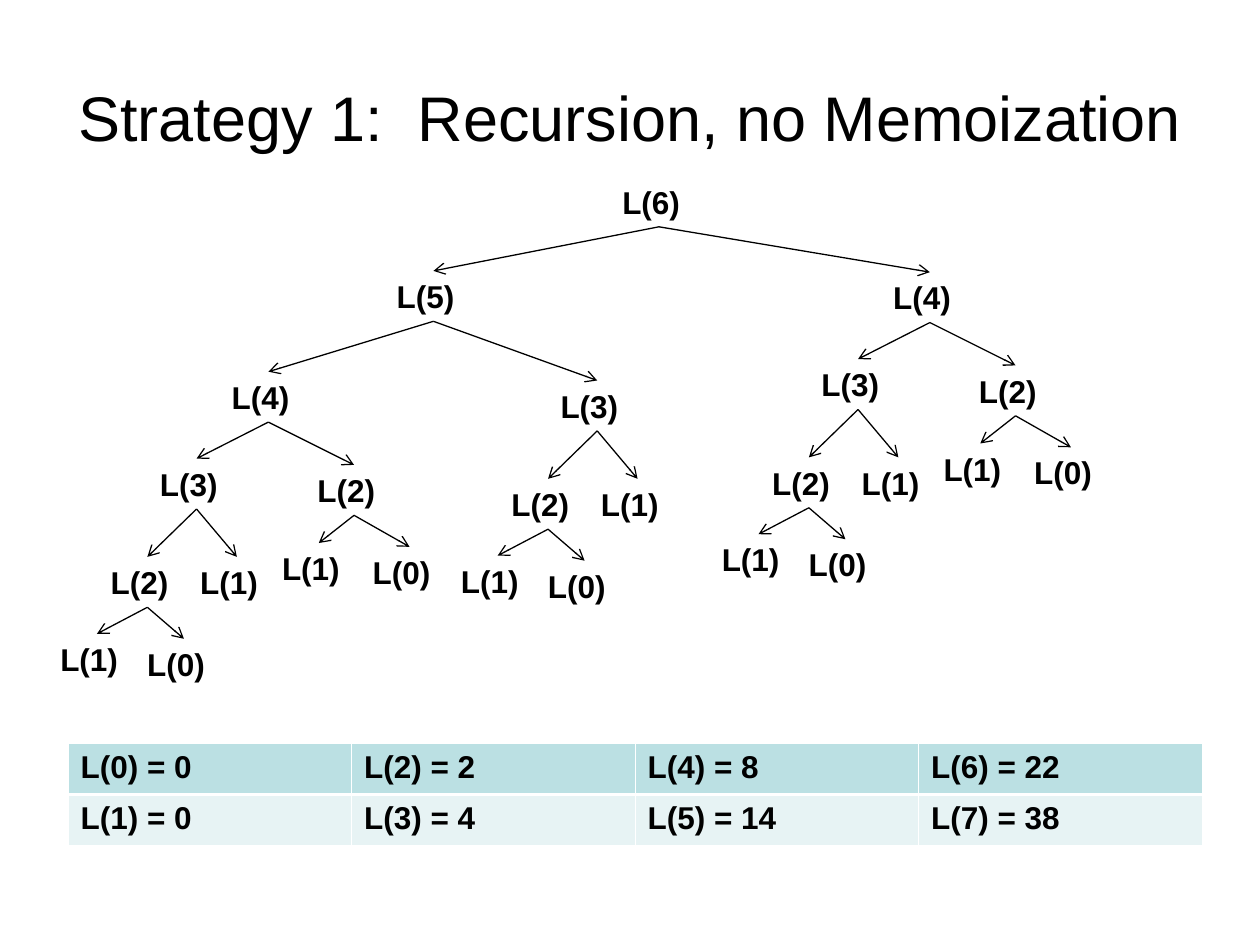
from lxml.etree import SubElement
from pptx import Presentation
from pptx.dml.color import RGBColor
from pptx.enum.shapes import MSO_CONNECTOR
from pptx.enum.text import MSO_ANCHOR, MSO_AUTO_SIZE, PP_ALIGN
from pptx.oxml.ns import qn
from pptx.util import Inches, Pt

BLACK, WHITE, TEAL, PALE = "000000", "FFFFFF", "BBE0E3", "E7F3F4"
NODE_W, NODE_H = 0.78, 0.4

# Shift from a call to its left child, L(n-1), and right child, L(n-2)
SHIFTS = {
    6: ((-1.79, 0.75), (2.15, 0.76)),
    5: ((-1.31, 0.8), (1.3, 0.87)),
    4: ((-0.57, 0.69), (0.68, 0.74)),
    3: ((-0.39, 0.78), (0.32, 0.78)),
    2: ((-0.4, 0.61), (0.29, 0.65)),
}
WIDE = ((-0.28, 0.62), (0.44, 0.65))  # L(2) as the right child of L(4)


def color(code):
    return RGBColor.from_string(code)


def write(frame, text, size, bold=False):
    run = frame.paragraphs[0].add_run()
    run.text = text
    font = run.font
    font.name, font.size, font.bold = "Arial", Pt(size), bold
    font.color.rgb = color(BLACK)


def add_title(slide, text, x, y, w, h):
    title = slide.shapes.title
    title.left, title.top = Inches(x), Inches(y)
    title.width, title.height = Inches(w), Inches(h)
    frame = title.text_frame
    frame.vertical_anchor = MSO_ANCHOR.MIDDLE
    frame.paragraphs[0].alignment = PP_ALIGN.CENTER
    write(frame, text, 36)


def add_arrow(slide, start, end):
    arrow = slide.shapes.add_connector(MSO_CONNECTOR.STRAIGHT, 0, 0, 0, 0)
    arrow.begin_connect(start, 2)
    arrow.end_connect(end, 0)
    arrow.line.color.rgb = color(BLACK)
    arrow.line.width = Pt(0.75)
    SubElement(arrow.line._get_or_add_ln(), qn("a:tailEnd"), type="arrow")
    SubElement(arrow._element.spPr, qn("a:effectLst"))


def add_tree(slide, n, x, y, shifts=None):
    """Draw the call L(n) at x, y with all the calls below it."""
    node = slide.shapes.add_textbox(
        Inches(x), Inches(y), Inches(NODE_W), Inches(NODE_H))
    frame = node.text_frame
    frame.word_wrap = True
    frame.auto_size = MSO_AUTO_SIZE.SHAPE_TO_FIT_TEXT
    write(frame, f"L({n})", 18, True)
    for step, (dx, dy) in enumerate(shifts or SHIFTS.get(n, ()), 1):
        wide = WIDE if n == 4 and step == 2 else None
        child = add_tree(slide, n - step, x + dx, y + dy, wide)
        add_arrow(slide, node, child)
    return node


def add_border(cell, side, width):
    props = cell._tc.get_or_add_tcPr()
    edge = SubElement(props, qn(f"a:ln{side}"), w=str(Pt(width)))
    fill = SubElement(edge, qn("a:solidFill"))
    SubElement(fill, qn("a:srgbClr"), val=WHITE)


def add_values(slide, rows, x, y, w, h):
    table = slide.shapes.add_table(
        len(rows), len(rows[0]), Inches(x), Inches(y), Inches(w), Inches(h)).table
    for r, row in enumerate(rows):
        for c, text in enumerate(row):
            cell = table.cell(r, c)
            # A thicker rule parts the two rows
            top, bottom = (0.45, 1.47) if r == 0 else (1.47, 0.45)
            for side, width in zip("LRTB", (0.45, 0.45, top, bottom)):
                add_border(cell, side, width)
            cell.fill.solid()
            cell.fill.fore_color.rgb = color(PALE if r else TEAL)
            write(cell.text_frame, text, 18, True)


def main():
    deck = Presentation()
    deck.slide_width, deck.slide_height = Inches(10), Inches(7.5)
    slide = deck.slides.add_slide(deck.slide_layouts[5])

    # Title
    add_title(slide, "Strategy 1:  Recursion, no Memoization", 0.5, 0.3, 9, 1.25)

    # Table of values, filled column by column
    values = [0, 0, 2, 4, 8, 14, 22, 38]
    cells = [f"L({n}) = {value}" for n, value in enumerate(values)]
    add_values(slide, [cells[::2], cells[1::2]], 0.54, 5.9, 9, 0.81)

    # Tree of calls
    add_tree(slide, 6, 4.84, 1.4)

    deck.save("out.pptx")


if __name__ == "__main__":
    main()
